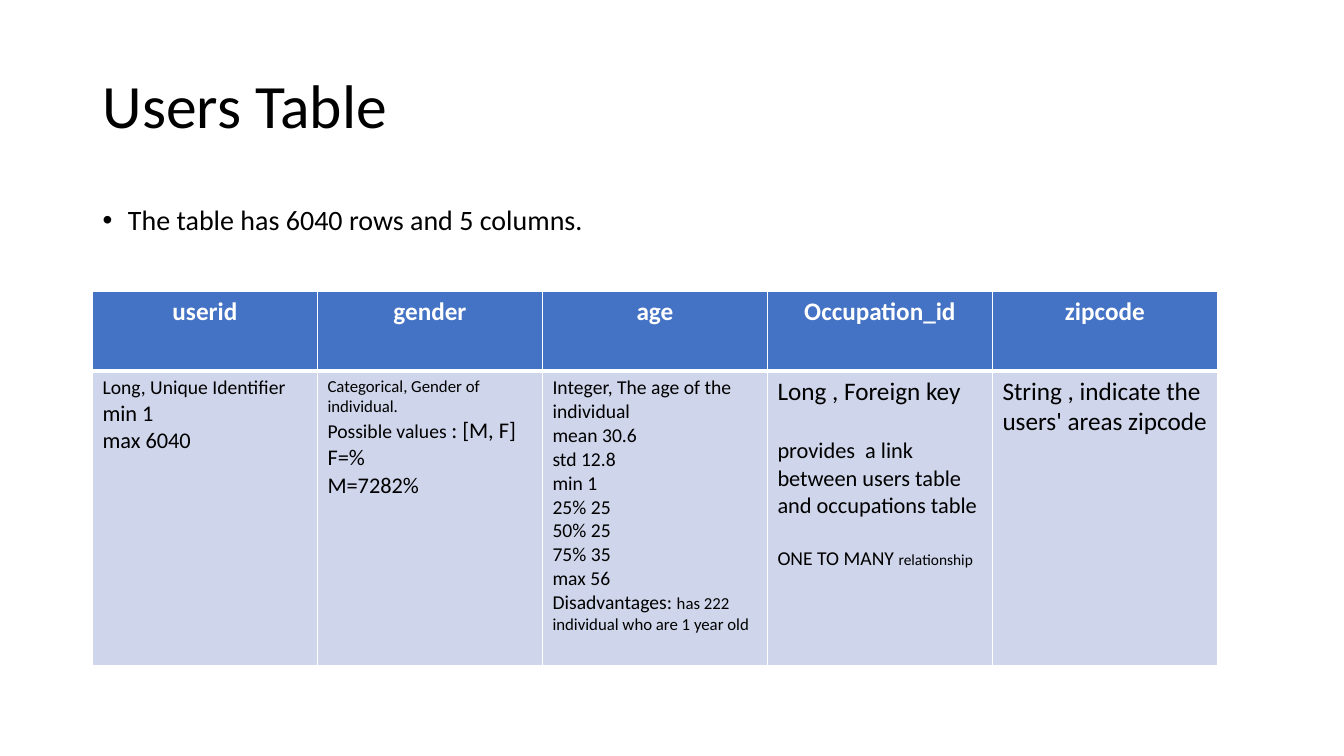
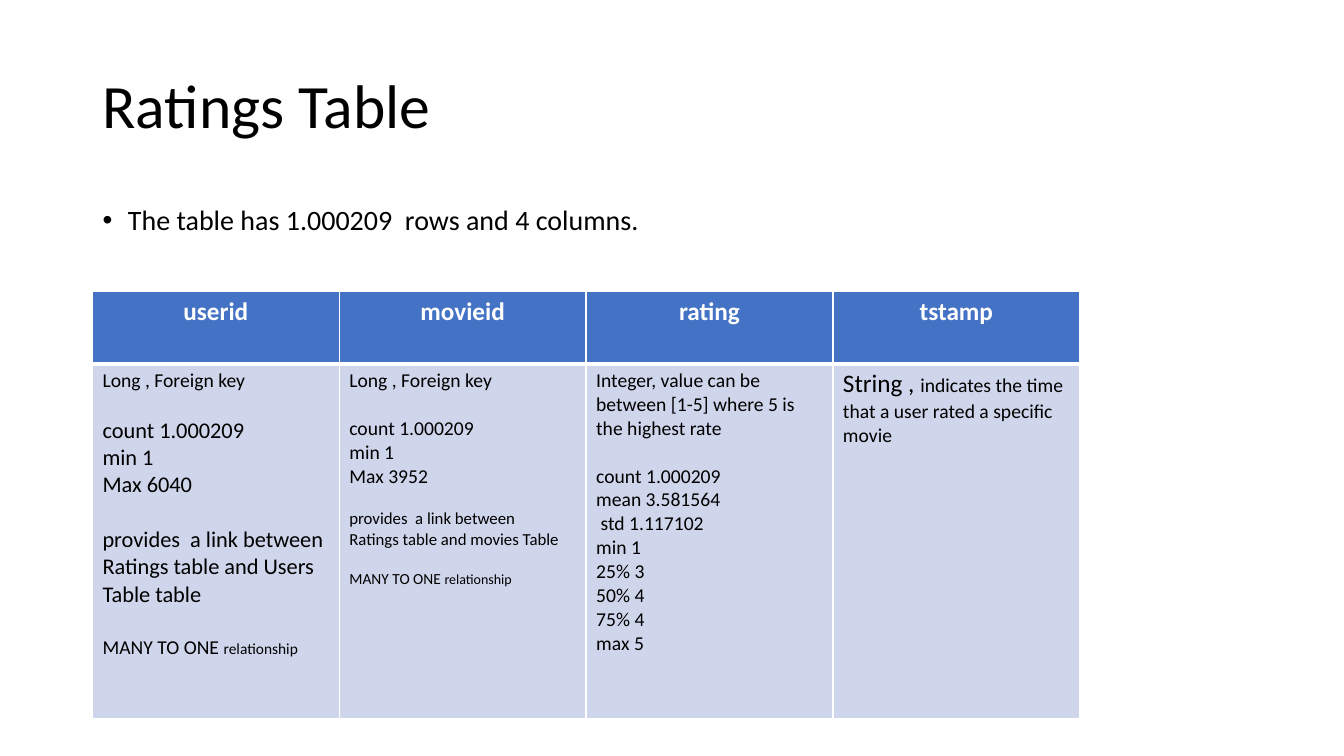
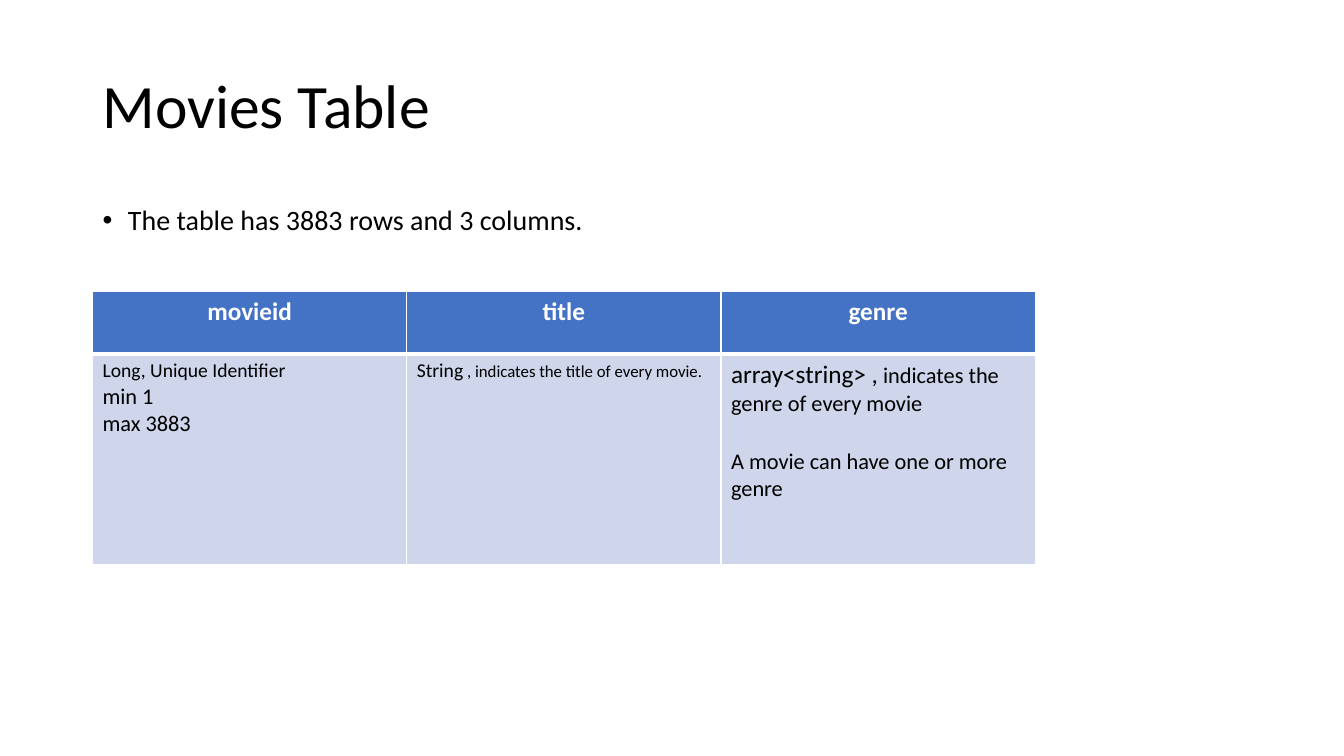
from dataclasses import dataclass

from lxml.etree import SubElement
from pptx import Presentation
from pptx.dml.color import RGBColor
from pptx.enum.text import MSO_ANCHOR as Anchor, MSO_AUTO_SIZE as AutoSize, PP_ALIGN as Align
from pptx.oxml.ns import qn
from pptx.util import Cm, Pt


# Theme: colours, font, type sizes and shared positions
@dataclass(frozen=True)
class Theme:
    font: str = "Calibri"
    text: str = "000000"
    header_text: str = "FFFFFF"
    header_fill: str = "4472C4"
    body_fill: str = "CFD5EA"
    border: str = "FFFFFF"
    title_size: int = 44
    bullet_size: int = 20
    header_size: int = 18
    thin_border: int = 1
    thick_border: int = 3
    line_height: float = 1.22
    left: float = 2.33
    width: float = 29.21
    table_top: float = 7.35


# A line of a cell: a main run, an optional smaller tail, and a gap above in type size
@dataclass(frozen=True)
class Line:
    text: str
    size: int
    tail: str = ""
    tail_size: int = 0
    gap: int = 0


THEME = Theme()


def format_run(run, size, color=THEME.text, bold=False):
    run.font.name = THEME.font
    run.font.size = Pt(size)
    run.font.bold = bold
    run.font.color.rgb = RGBColor.from_string(color)


def format_cell(cell, fill, edges):
    properties = cell._tc.get_or_add_tcPr()
    for edge, points in edges.items():
        line = SubElement(properties, qn(f"a:{edge}"), w=str(Pt(points)))
        solid = SubElement(line, qn("a:solidFill"))
        SubElement(solid, qn("a:srgbClr"), val=THEME.border)
    cell.fill.solid()
    cell.fill.fore_color.rgb = RGBColor.from_string(fill)


# Content: each column is a header with its lines
users = {
    "userid": [Line("Long, Unique Identifier", 14), Line("min 1", 16), Line("max 6040", 16)],
    "gender": [
        Line("Categorical, Gender of individual.", 12),
        Line("Possible values ", 14, ": [M, F]", 16),
        Line("F=%", 16),
        Line("M=7282%", 16),
    ],
    "age": [
        *[Line(text, 14) for text in (
            "Integer, The age of the individual", "mean 30.6", "std 12.8", "min 1",
            "25% 25", "50% 25", "75% 35", "max 56")],
        Line("Disadvantages: ", 14, "has 222 individual who are 1 year old", 12),
    ],
    "Occupation_id": [
        Line("Long , Foreign key", 18),
        Line("provides  a link between users table and occupations table", 16, gap=18),
        Line("ONE TO MANY ", 14, "relationship", 11, gap=16),
    ],
    "zipcode": [Line("String , indicate the users' areas zipcode", 18)],
}
ratings = {
    "userid": [
        Line("Long , Foreign key", 14),
        Line("count 1.000209", 16, gap=14),
        Line("min 1", 16),
        Line("Max 6040", 16),
        Line("provides  a link between", 16, gap=16),
        Line("Ratings table and Users Table table", 16),
        Line("MANY TO ONE ", 14, "relationship", 11, gap=16),
    ],
    "movieid": [
        Line("Long , Foreign key", 14),
        Line("count 1.000209", 14, gap=14),
        Line("min 1", 14),
        Line("Max 3952", 14),
        Line("provides  a link between", 12, gap=12),
        Line("Ratings table and movies Table", 12),
        Line("MANY TO ONE ", 11, "relationship", 10, gap=12),
    ],
    "rating": [
        Line("Integer, value can be between [1-5] where 5 is the highest rate", 14),
        Line("count 1.000209", 14, gap=14),
        *[Line(text, 14) for text in (
            "mean 3.581564", " std 1.117102", "min 1", "25% 3", "50% 4", "75% 4", "max 5")],
    ],
    "tstamp": [Line("String , ", 18, "indicates the time that a user rated a specific movie", 14)],
}
movies = {
    "movieid": [Line("Long, Unique Identifier", 14), Line("min 1", 16), Line("max 3883", 16)],
    "title": [Line("String", 14, " , indicates the title of every movie.", 12)],
    "genre": [
        Line("array<string> ,", 18, " indicates the genre of every movie", 16),
        Line("A movie can have one or more genre", 16, gap=18),
    ],
}

# Title, bullet, columns, column width and row heights in centimetres
pages = [
    ("Users Table", "The table has 6040 rows and 5 columns.", users, 5.67, (2, 7.43)),
    ("Ratings Table", "The table has 1.000209  rows and 4 columns.", ratings, 6.22, (1.82, 8.94)),
    ("Movies Table", "The table has 3883 rows and 3 columns.", movies, 7.92, (1.57, 5.31)),
]

presentation = Presentation()
presentation.slide_width, presentation.slide_height = Cm(33.87), Cm(19.05)
layout = presentation.slide_layouts[1]

for title_text, bullet_text, columns, column_width, row_heights in pages:
    slide = presentation.slides.add_slide(layout)
    title, body = slide.shapes.title, slide.placeholders[1]

    # Title and bullet
    for shape, text, size, top, height in (
        (title, title_text, THEME.title_size, 1.01, 3.45),
        (body, bullet_text, THEME.bullet_size, 5.08, 12.09),
    ):
        shape.left, shape.top = Cm(THEME.left), Cm(top)
        shape.width, shape.height = Cm(THEME.width), Cm(height)
        shape.text_frame.text = text
        shape.text_frame.auto_size = AutoSize.NONE
        paragraph = shape.text_frame.paragraphs[0]
        paragraph.alignment = Align.LEFT
        paragraph.line_spacing = 0.9
        format_run(paragraph.runs[0], size)
    title.text_frame.vertical_anchor = Anchor.MIDDLE
    bullet = body.text_frame.paragraphs[0]
    bullet.space_before = Pt(10)
    bullet_properties = bullet._p.get_or_add_pPr()
    bullet_properties.set("marL", str(Cm(0.64)))
    bullet_properties.set("indent", str(-Cm(0.64)))
    SubElement(bullet_properties, qn("a:buFont"), typeface="Arial")
    SubElement(bullet_properties, qn("a:buChar"), char="•")

    # Table grid
    table = slide.shapes.add_table(
        2, len(columns), Cm(THEME.left), Cm(THEME.table_top),
        Cm(column_width * len(columns)), Cm(sum(row_heights))).table
    for row, height in zip(table.rows, row_heights):
        row.height = Cm(height)

    # Header and description of each column
    thin, thick = THEME.thin_border, THEME.thick_border
    for index, (name, lines) in enumerate(columns.items()):
        table.columns[index].width = Cm(column_width)
        header, description = table.cell(0, index), table.cell(1, index)

        format_cell(header, THEME.header_fill, {"lnL": thin, "lnR": thin, "lnT": thin, "lnB": thick})
        header.text_frame.text = name
        paragraph = header.text_frame.paragraphs[0]
        paragraph.alignment = Align.CENTER
        format_run(paragraph.runs[0], THEME.header_size, THEME.header_text, bold=True)

        format_cell(description, THEME.body_fill, {"lnL": thin, "lnR": thin, "lnT": thick, "lnB": thin})
        description.text_frame.text = "\n".join(line.text for line in lines)
        for paragraph, line in zip(description.text_frame.paragraphs, lines):
            format_run(paragraph.runs[0], line.size)
            if line.gap:
                paragraph.space_before = Pt(round(line.gap * THEME.line_height, 1))
            if line.tail:
                tail = paragraph.add_run()
                tail.text = line.tail
                format_run(tail, line.tail_size)

presentation.save("out.pptx")
